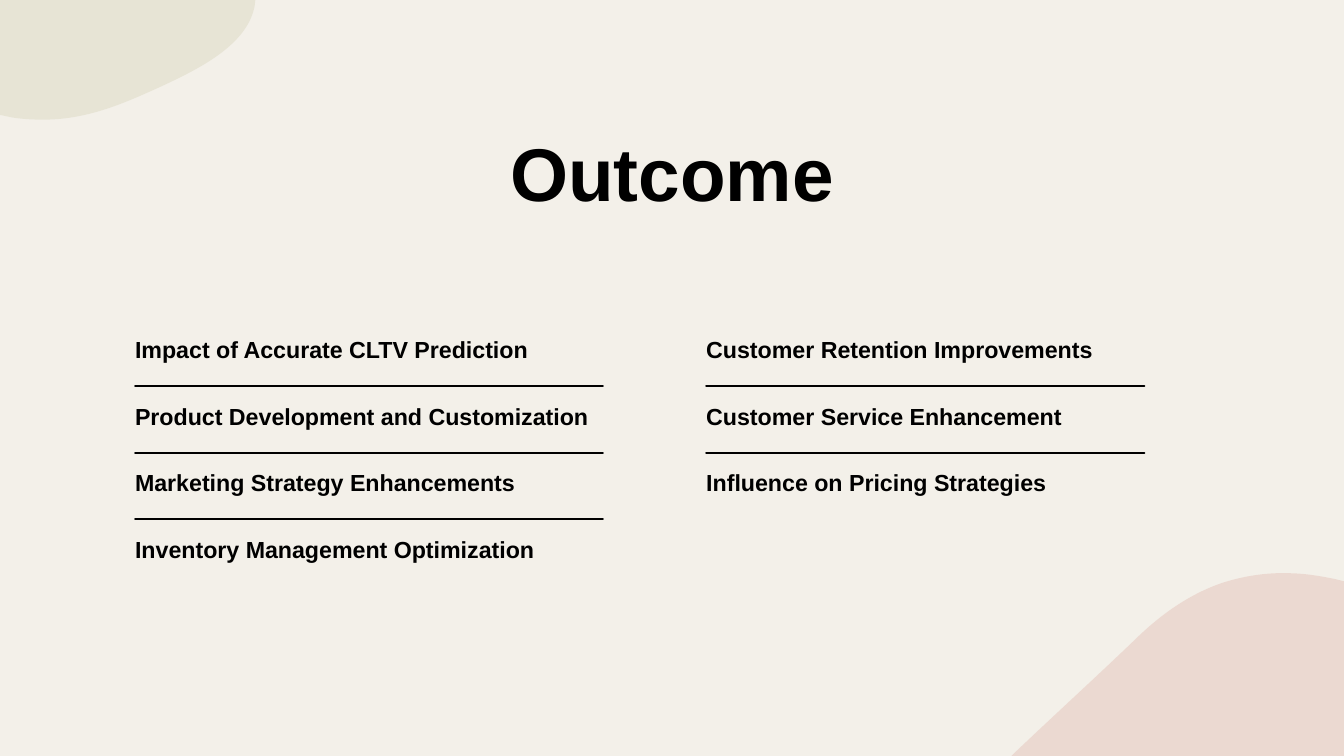
import pptx
import pptx.dml.color
import pptx.enum.shapes
import pptx.enum.text
import pptx.oxml
import pptx.oxml.ns
import pptx.util
from lxml import etree
from pptx.util import Inches

COLORS = {"background": "F3F0E9", "ink": "000000", "sage": "DCD9C3", "rose": "E5C4BA"}
FONT = "Arial"

TITLE = "Outcome"
# Each column: left edge, rule length, outcomes
COLUMNS = [
    (2.01, 6.96, ["Impact of Accurate CLTV Prediction",
                  "Product Development and Customization",
                  "Marketing Strategy Enhancements",
                  "Inventory Management Optimization"]),
    (10.51, 6.52, ["Customer Retention Improvements",
                   "Customer Service Enhancement",
                   "Influence on Pricing Strategies"]),
]
ITEM_TOP, ITEM_WIDTH, ITEM_HEIGHT = 4.96, 6.96, 0.49
ROW_PITCH, RULE_OFFSET = 0.99, 0.79

# Corner blobs in inches: each step is (end,) for a line
# or (control, control, end) for a curve
SAGE_BLOB = [
    ((0, 0),), ((3.8, 0),), ((3.79, 0.09),),
    ((3.68, 0.66), (3, 1.01), (2.37, 1.3)),
    ((1.84, 1.54), (1.28, 1.79), (0.61, 1.78)),
    ((0.47, 1.78), (0.33, 1.77), (0.19, 1.75)),
    ((0, 1.71),),
]
ROSE_BLOB = [
    ((19.16, 8.53),),
    ((19.4, 8.53), (19.64, 8.57), (19.88, 8.62)),
    ((20, 8.65),), ((20, 11.25),), ((15.05, 11.25),), ((15.08, 11.22),),
    ((15.71, 10.62), (16.36, 10.03), (16.95, 9.46)),
    ((17.36, 9.07), (17.78, 8.81), (18.2, 8.67)),
    ((18.52, 8.57), (18.84, 8.52), (19.16, 8.53)),
]

qn = pptx.oxml.ns.qn


def rgb(name):
    return pptx.dml.color.RGBColor.from_string(COLORS[name])


def add_blob(slide, outline, color):
    ends = [(Inches(x), Inches(y)) for x, y in (step[-1] for step in outline)]
    builder = slide.shapes.build_freeform(*ends[0])
    builder.add_line_segments(ends[1:], close=True)
    blob = builder.convert_to_shape()

    # Bend the straight segments that have control points
    segments = blob._element.spPr.findall(".//" + qn("a:lnTo"))
    for segment, step in zip(segments, outline[1:]):
        if len(step) == 3:
            segment.tag = qn("a:cubicBezTo")
            for position, (x, y) in enumerate(step[:2]):
                control = etree.Element(qn("a:pt"))
                control.set("x", str(Inches(x) - blob.left))
                control.set("y", str(Inches(y) - blob.top))
                segment.insert(position, control)

    blob.shadow.inherit = False
    blob.line.fill.background()
    blob.fill.solid()
    blob.fill.fore_color.rgb = rgb(color)
    fill_color = blob._element.spPr.find(".//" + qn("a:srgbClr"))
    etree.SubElement(fill_color, qn("a:alpha")).set("val", "50000")


def write(box, words, size, spacing, align):
    frame = box.text_frame
    frame.margin_left = frame.margin_right = frame.margin_top = frame.margin_bottom = 0
    frame.word_wrap = True
    frame.auto_size = pptx.enum.text.MSO_AUTO_SIZE.SHAPE_TO_FIT_TEXT
    frame.vertical_anchor = pptx.enum.text.MSO_ANCHOR.TOP
    paragraph = frame.paragraphs[0]
    paragraph.alignment = align
    paragraph.line_spacing = pptx.util.Pt(spacing)
    run = paragraph.add_run()
    run.text = words
    run.font.name = FONT
    run.font.size = pptx.util.Pt(size)
    run.font.bold = True
    run.font.color.rgb = rgb("ink")


def add_rule(slide, left, top, length):
    rule = slide.shapes.add_connector(
        pptx.enum.shapes.MSO_CONNECTOR.STRAIGHT,
        Inches(left), Inches(top), Inches(left + length), Inches(top))
    rule.line.color.rgb = rgb("ink")
    rule.line.width = pptx.util.Pt(2.25)
    rule._element.spPr.find(qn("a:ln")).set("cap", "rnd")
    etree.SubElement(rule._element.spPr, qn("a:effectLst"))


def main():
    deck = pptx.Presentation()
    deck.slide_width, deck.slide_height = Inches(20), Inches(11.25)
    slide = deck.slides.add_slide(deck.slide_layouts.get_by_name("Title Only"))
    slide.background.fill.solid()
    slide.background.fill.fore_color.rgb = rgb("background")
    align = pptx.enum.text.PP_ALIGN

    # Corner decoration
    add_blob(slide, SAGE_BLOB, "sage")
    add_blob(slide, ROSE_BLOB, "rose")

    # Title
    title = slide.shapes.title
    title.left, title.top = Inches(2.01), Inches(2)
    title.width, title.height = Inches(15.99), Inches(1.29)
    write(title, TITLE, 80, 88, align.CENTER)

    # Outcomes, with a rule between neighbours
    for left, rule_length, outcomes in COLUMNS:
        for row, outcome in enumerate(outcomes):
            top = ITEM_TOP + row * ROW_PITCH
            item = slide.shapes.add_textbox(
                Inches(left), Inches(top), Inches(ITEM_WIDTH), Inches(ITEM_HEIGHT))
            write(item, outcome, 24.9, 32.3, align.LEFT)
            if row < len(outcomes) - 1:
                add_rule(slide, left, top + RULE_OFFSET, rule_length)

    deck.save("out.pptx")


if __name__ == "__main__":
    main()
